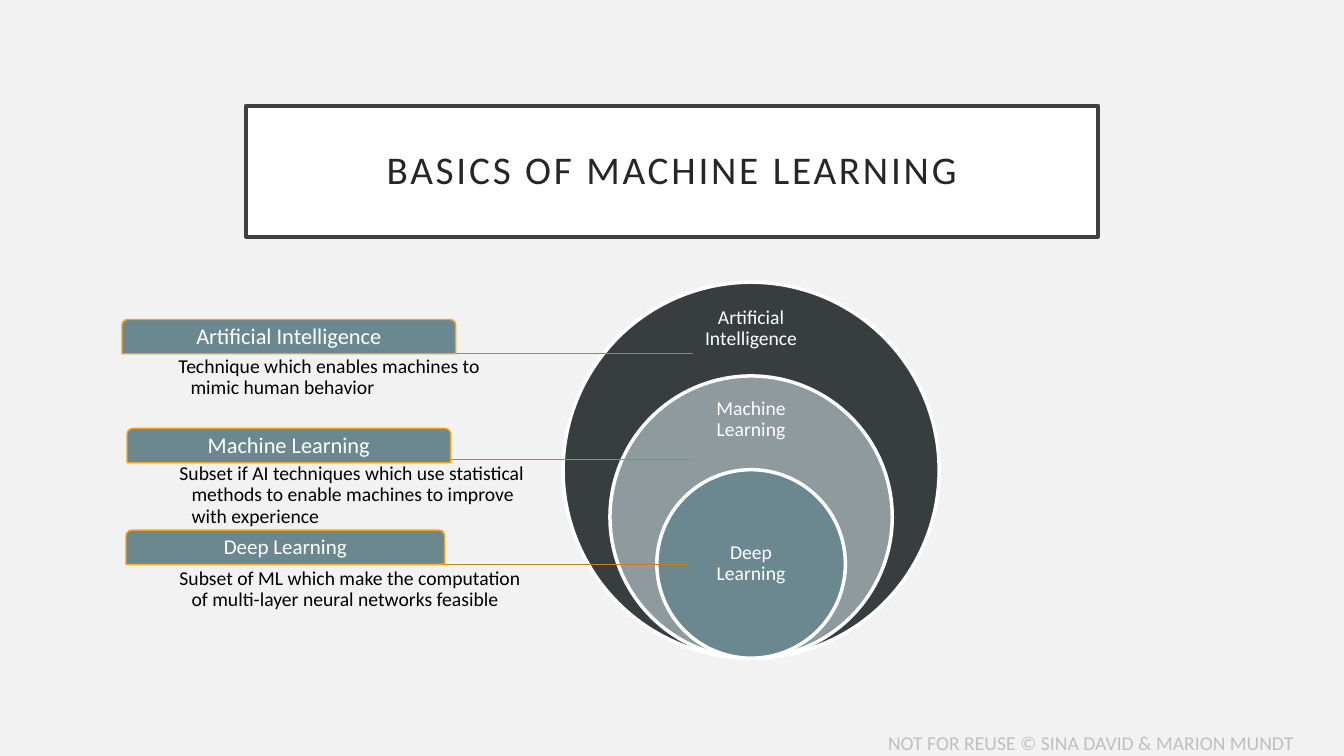
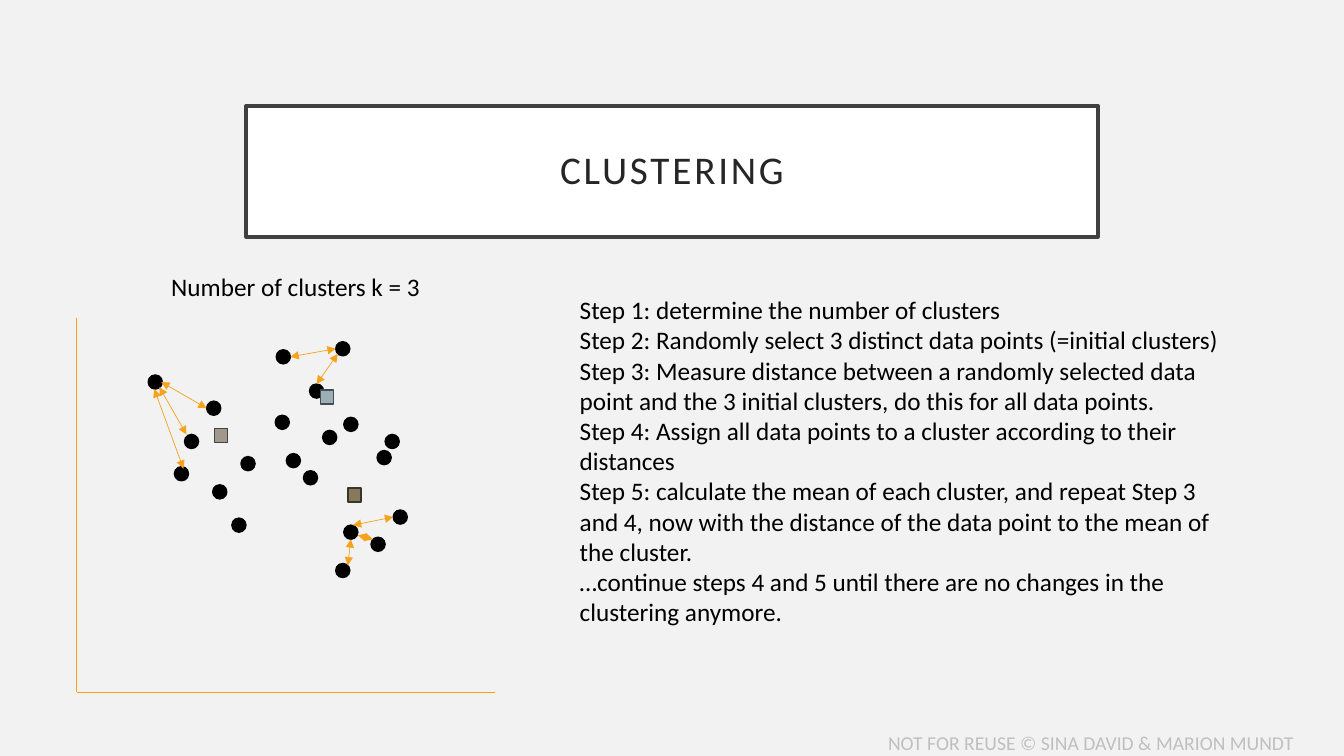
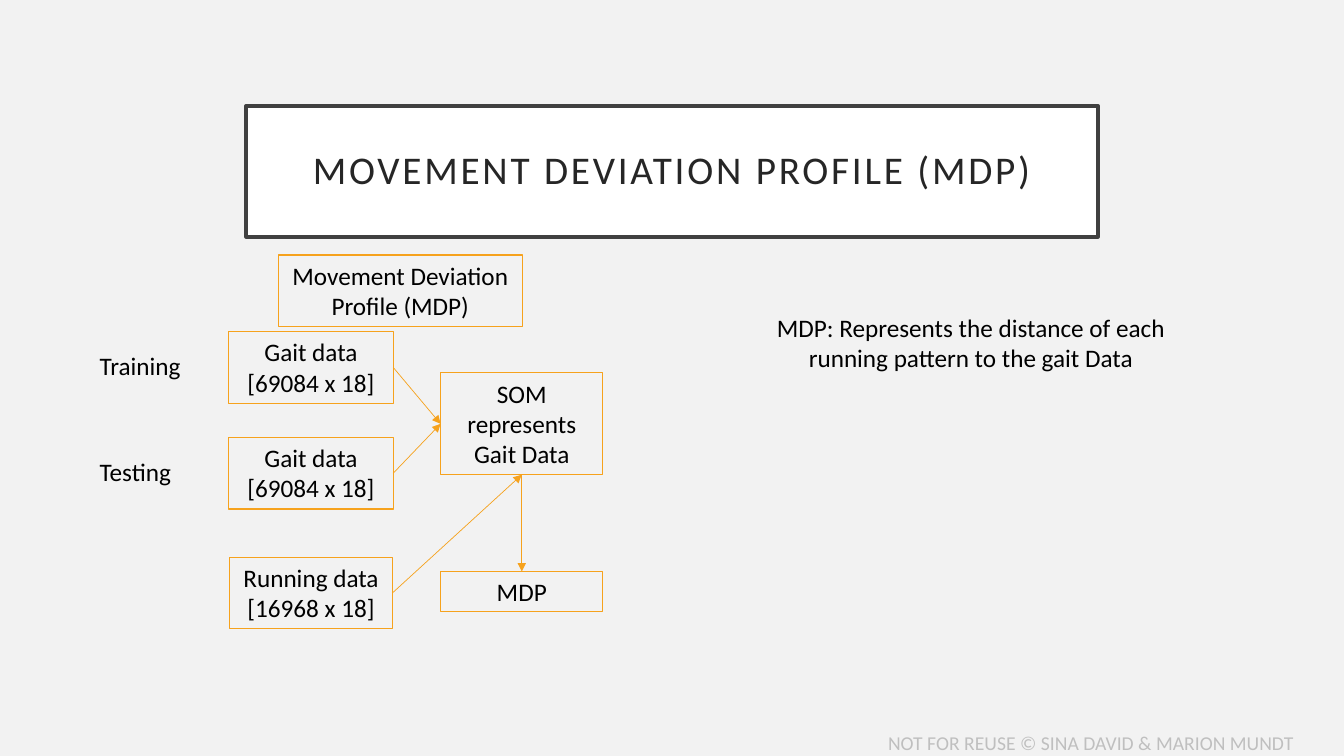
from copy import deepcopy
from pptx import Presentation
from pptx.dml.color import RGBColor
from pptx.enum.shapes import MSO_CONNECTOR, MSO_SHAPE
from pptx.enum.text import MSO_ANCHOR, MSO_AUTO_SIZE, PP_ALIGN
from pptx.oxml.ns import qn
from pptx.oxml.xmlchemy import OxmlElement
from pptx.util import Inches, Pt

BACKGROUND = RGBColor(0xF2, 0xF2, 0xF2)
WHITE = RGBColor(0xFF, 0xFF, 0xFF)
BLACK = RGBColor(0, 0, 0)
TITLE_TEXT = RGBColor(0x26, 0x26, 0x26)
TITLE_LINE = RGBColor(0x40, 0x40, 0x40)
FOOTER = RGBColor(0xBF, 0xBF, 0xBF)
ORANGE = RGBColor(0xF6, 0xA2, 0x1D)
DARK_ORANGE = RGBColor(0xC5, 0x82, 0x17)
CHARCOAL = RGBColor(0x38, 0x3E, 0x40)
GREY = RGBColor(0x8E, 0x9A, 0x9E)
TEAL = RGBColor(0x6B, 0x88, 0x91)
TAUPE = RGBColor(0xA0, 0x98, 0x8C)
TAUPE_LINE = RGBColor(0x46, 0x43, 0x3D)
BROWN = RGBColor(0x87, 0x79, 0x5D)
BROWN_LINE = RGBColor(0x3B, 0x35, 0x29)
ICE = RGBColor(0x9B, 0xAF, 0xB5)
ICE_LINE = RGBColor(0x44, 0x4D, 0x4F)


def write(shape, paragraphs, size=18, color=BLACK, align=PP_ALIGN.LEFT,
          anchor=MSO_ANCHOR.TOP, inset=None, spacing=1.0, hanging=0):
    tf = shape.text_frame
    frame = {"word_wrap": True, "auto_size": MSO_AUTO_SIZE.NONE, "vertical_anchor": anchor}
    if inset is not None:
        for side in ("left", "top", "right", "bottom"):
            frame[f"margin_{side}"] = Inches(inset)
    for name, value in frame.items():
        setattr(tf, name, value)
    for i, text in enumerate(paragraphs):
        p = tf.add_paragraph() if i else tf.paragraphs[0]
        p.text = text
        pPr = p._p.get_or_add_pPr()
        pPr.set("marL", str(Inches(hanging)))
        pPr.set("indent", str(-Inches(hanging)))
        pPr.append(OxmlElement("a:buNone"))
        for name, value in {"alignment": align, "line_spacing": spacing,
                            "space_before": Pt(0), "space_after": Pt(0)}.items():
            setattr(p, name, value)
        for r in p.runs:
            for name, value in {"name": "Calibri", "size": Pt(size)}.items():
                setattr(r.font, name, value)
            r.font.color.rgb = color
        for br in p._p.findall(qn("a:br")):
            br.insert(0, deepcopy(p.runs[0]._r.rPr))


def connect(s, x1, y1, x2, y2, color=ORANGE, width=0.5, ends=()):
    line = s.shapes.add_connector(MSO_CONNECTOR.STRAIGHT, Inches(x1), Inches(y1),
                                  Inches(x2), Inches(y2))
    line.line.color.rgb = color
    line.line.width = Pt(width)
    for end in ends:
        arrow = OxmlElement(f"a:{end}")
        arrow.set("type", "triangle")
        line.line._get_or_add_ln().append(arrow)
    line._element.spPr.append(OxmlElement("a:effectLst"))
    return line


prs = Presentation()
prs.slide_width, prs.slide_height = Inches(13.33), Inches(7.5)
master = prs.slide_master
master.background.fill.solid()
master.background.fill.fore_color.rgb = BACKGROUND

titles = [("BASICS OF MACHINE LEARNING", 5), ("CLUSTERING", 1),
          ("MOVEMENT DEVIATION PROFILE (MDP)", 5)]
for text, layout in titles:
    s = prs.slides.add_slide(prs.slide_layouts[layout])
    title = s.shapes.title
    for name, value in {"left": 2.44, "top": 1.05, "width": 8.45, "height": 1.3}.items():
        setattr(title, name, Inches(value))
    title.fill.solid()
    title.fill.fore_color.rgb = WHITE
    title.line.color.rgb = TITLE_LINE
    title.line.width = Pt(2.5)
    write(title, [text], 28, TITLE_TEXT, PP_ALIGN.CENTER, MSO_ANCHOR.MIDDLE, 0.2, 0.9)
    title.text_frame.paragraphs[0].runs[0]._r.get_or_add_rPr().set("spc", "200")
basics, clustering, profile = prs.slides

footer = basics.shapes.add_textbox(Inches(8.71), Inches(7.2), Inches(4.6), Inches(0.3))
write(footer, ["NOT FOR REUSE © SINA DAVID & MARION MUNDT"], 14, FOOTER)
master.shapes._spTree.append(footer._element)

s = basics
circles = [
    ("Artificial Intelligence", 3.73, CHARCOAL, 2.98, 0.56),
    ("Machine Learning", 2.8, GREY, 3.9, 0.52),
    ("Deep Learning", 1.87, TEAL, 5.13, 0.93),
]
for text, size, color, top, height in circles:
    circle = s.shapes.add_shape(MSO_SHAPE.OVAL, Inches(7.45 - size / 2), Inches(6.53 - size),
                                Inches(size), Inches(size))
    circle.shadow.inherit = False
    circle.fill.solid()
    circle.fill.fore_color.rgb = color
    circle.line.color.rgb = WHITE
    circle.line.width = Pt(2.5)
    label = s.shapes.add_textbox(Inches(6.8), Inches(top), Inches(1.3), Inches(height))
    write(label, [text], 14, WHITE, PP_ALIGN.CENTER, MSO_ANCHOR.MIDDLE, 0.11, 0.9)

definitions = [
    ("Artificial Intelligence", 16, 1.21, 3.17, 3.31, 2.27, 3.51, 0.03,
     "Technique which enables machines to\nmimic human behavior"),
    ("Machine Learning", 16, 1.26, 4.25, 3.21, 2.24, 4.56, 0.04,
     "Subset if AI techniques which use statistical\n"
     "methods to enable machines to improve\nwith experience"),
    ("Deep Learning", 15, 1.25, 5.26, 3.16, 2.23, 5.6, 0.04,
     "Subset of ML which make the computation\nof multi-layer neural networks feasible"),
]
for term, size, left, top, width, line_x, line_y, inset, meaning in definitions:
    connect(s, line_x, line_y, line_x + 4.6, line_y, DARK_ORANGE, 1)
    tab = s.shapes.add_shape(MSO_SHAPE.ROUND_2_SAME_RECTANGLE, Inches(left), Inches(top),
                             Inches(width), Inches(0.34))
    tab.shadow.inherit = False
    tab.fill.solid()
    tab.fill.fore_color.rgb = TEAL
    tab.line.color.rgb = ORANGE
    tab.line.width = Pt(1)
    write(tab, [term], size, WHITE, PP_ALIGN.CENTER, MSO_ANCHOR.MIDDLE, 0.03, 0.9)
    box = s.shapes.add_textbox(Inches(1.74), Inches(line_y), Inches(4.6), Inches(0.68))
    write(box, [meaning], 14, inset=inset, spacing=0.9, hanging=0.12)

s = clustering
steps = s.placeholders[1]
for name, value in {"left": 5.65, "top": 2.87, "width": 6.71, "height": 3.43}.items():
    setattr(steps, name, Inches(value))
write(steps, [
    "Step 1: determine the number of clusters",
    "Step 2: Randomly select 3 distinct data points (=initial clusters)",
    "Step 3: Measure distance between a randomly selected data point and the 3 initial "
    "clusters, do this for all data points.",
    "Step 4: Assign all data points to a cluster according to their distances",
    "Step 5: calculate the mean of each cluster, and repeat Step 3 and 4, now with the "
    "distance of the data point to the mean of the cluster.",
    "…continue steps 4 and 5 until there are no changes in the clustering anymore.",
])
caption = s.shapes.add_textbox(Inches(1.6), Inches(2.64), Inches(2.86), Inches(0.4))
write(caption, ["Number of clusters k = 3"])

connect(s, 0.76, 3.15, 0.76, 6.87)
connect(s, 4.91, 6.87, 0.76, 6.87)

points = [
    (1.47, 3.72), (1.73, 4.63), (2.05, 3.98), (1.83, 4.31), (2.39, 4.53), (2.3, 5.14),
    (2.11, 4.81), (2.74, 3.47), (3.33, 3.39), (3.07, 3.81), (3.2, 4.27), (3.41, 4.14),
    (3.82, 4.31), (3.74, 4.47), (2.73, 4.12), (2.84, 4.5), (3.01, 4.67), (3.41, 5.21),
    (3.9, 5.06), (3.33, 5.59), (3.68, 5.33),
]
means = [(2.13, 4.25, TAUPE, TAUPE_LINE), (3.45, 4.84, BROWN, BROWN_LINE),
         (3.18, 3.87, ICE, ICE_LINE)]
distances = [
    (2.88, 3.54, 3.33, 3.46), (3.14, 3.81, 3.35, 3.51), (1.6, 3.79, 2.05, 4.05),
    (1.82, 4.65, 1.53, 3.86), (1.85, 4.31, 1.58, 3.84), (3.45, 5.61, 3.48, 5.35),
    (3.55, 5.31, 3.7, 5.35), (3.5, 5.21, 3.9, 5.13),
]
markers = [(MSO_SHAPE.OVAL, x, y, 0.14, BLACK, BLACK) for x, y in points]
markers += [(MSO_SHAPE.RECTANGLE, x, y, 0.13, fill, line) for x, y, fill, line in means]
for kind, x, y, width, fill, line in markers:
    marker = s.shapes.add_shape(kind, Inches(x), Inches(y), Inches(width), Inches(0.14))
    marker.shadow.inherit = False
    marker.fill.solid()
    marker.fill.fore_color.rgb = fill
    marker.line.color.rgb = line
    marker.line.width = Pt(1)
for ends in distances:
    connect(s, *ends, ends=("headEnd", "tailEnd"))

s = profile
boxes = [
    ("heading", 2.76, 2.53, 2.42, 0.71, ["Movement Deviation Profile (MDP)"]),
    ("training", 2.27, 3.29, 1.63, 0.71, ["Gait data", "[69084 x 18]"]),
    ("testing", 2.27, 4.34, 1.63, 0.71, ["Gait data", "[69084 x 18]"]),
    ("som", 4.37, 3.7, 1.61, 1.01, ["SOM represents Gait Data"]),
    ("running", 2.28, 5.53, 1.61, 0.71, ["Running data", "[16968 x 18]"]),
    ("mdp", 4.37, 5.67, 1.61, 0.4, ["MDP"]),
]
nodes = {}
for key, left, top, width, height, lines in boxes:
    box = s.shapes.add_textbox(Inches(left), Inches(top), Inches(width), Inches(height))
    box.line.color.rgb = ORANGE
    box.line.width = Pt(0.75)
    write(box, lines, align=PP_ALIGN.CENTER)
    nodes[key] = box

TOP, LEFT, BOTTOM, RIGHT = range(4)
flows = [("training", RIGHT, "som", LEFT), ("testing", RIGHT, "som", LEFT),
         ("running", RIGHT, "som", BOTTOM), ("som", BOTTOM, "mdp", TOP)]
for start, start_side, end, end_side in flows:
    arrow = connect(s, 0, 0, 0, 0, ends=("tailEnd",))
    arrow.begin_connect(nodes[start], start_side)
    arrow.end_connect(nodes[end], end_side)

notes = [
    ("Training", 0.89, 3.43, 1.26, 0.4, PP_ALIGN.LEFT),
    ("Testing", 0.89, 4.48, 1.26, 0.4, PP_ALIGN.LEFT),
    ("MDP: Represents the distance of each running pattern to the gait Data",
     7.21, 3.05, 4.84, 0.71, PP_ALIGN.CENTER),
]
for text, left, top, width, height, align in notes:
    box = s.shapes.add_textbox(Inches(left), Inches(top), Inches(width), Inches(height))
    write(box, [text], align=align)

prs.save("out.pptx")
